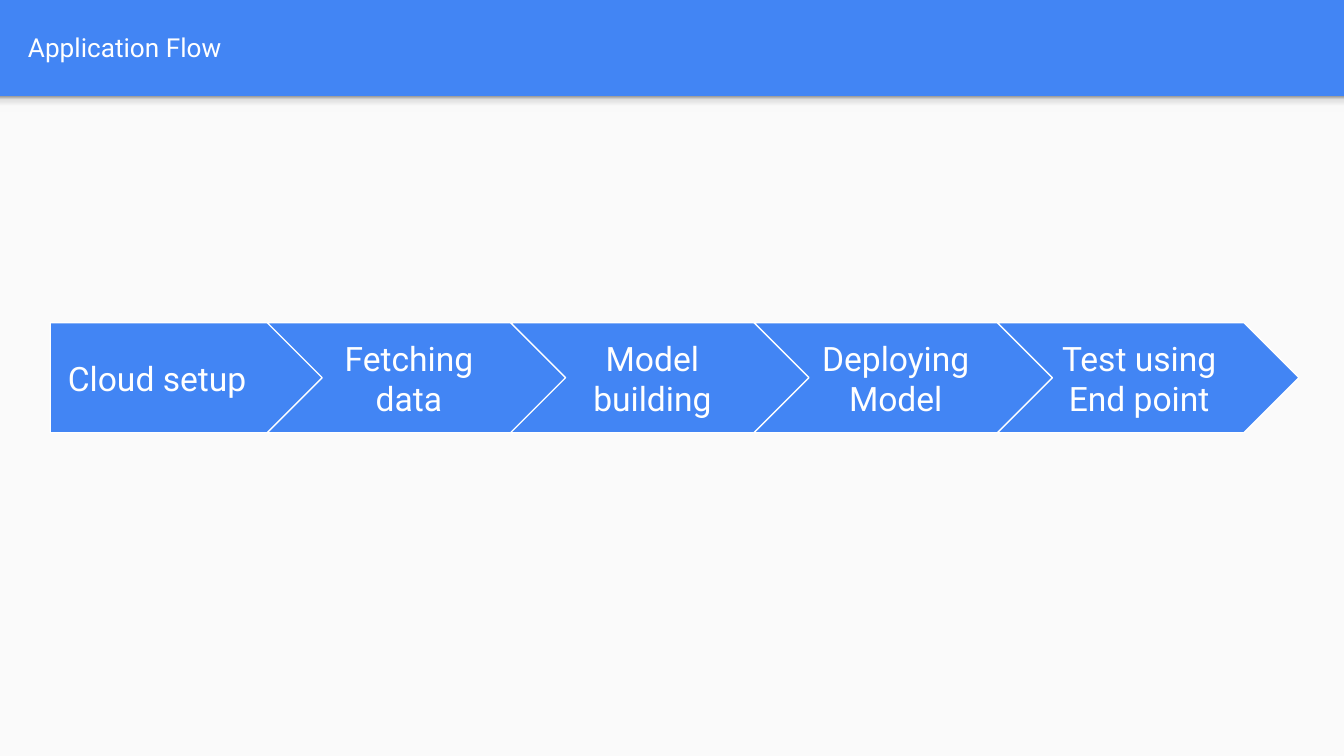
from copy import deepcopy

from pptx import Presentation
from pptx import util as u
from pptx.dml.color import RGBColor
from pptx.enum import shapes, text
from pptx.oxml.ns import qn

COLORS = {
    "blue": "4285F4",
    "white": "FFFFFF",
    "panel": "FAFAFA",
    "shadow_dark": "999999",
    "shadow_mid": "DEDEDE",
    "shadow_light": "F9F9F9",
}
SLIDE_WIDTH, SLIDE_HEIGHT = 25.4, 14.29
HEADER_HEIGHT = 1.82
STEP_TOP, STEP_HEIGHT = 6.1, 2.08
FIRST_CHEVRON_LEFT, CHEVRON_PITCH = 5.05, 4.6
LABEL_TOP, LABEL_HEIGHT = 6.5, 1.3
FIRST_STEP = "Cloud setup"
NEXT_STEPS = ["Fetching data", "Model building", "Deploying Model", "Test using End point"]


def color(name):
    return RGBColor.from_string(COLORS[name])


def apply(target, values):
    for name, value in values.items():
        setattr(target, name, value)


class FlowSlide:
    """Holds the slide and its text style; all lengths are in centimetres."""

    font = {"name": "Roboto"}
    frame = {
        "word_wrap": True,
        "vertical_anchor": text.MSO_ANCHOR.MIDDLE,
        **{f"margin_{side}": u.Cm(0.25) for side in ("left", "top", "right", "bottom")},
    }

    def __init__(self, slide):
        self.slide = slide

    def background(self, fill):
        self.slide.background.fill.solid()
        self.slide.background.fill.fore_color.rgb = color(fill)

    def shape(self, kind, box, fill, line=None):
        shape = self.slide.shapes.add_shape(kind, *map(u.Cm, box))
        shape.shadow.inherit = False
        shape.fill.solid()
        shape.fill.fore_color.rgb = color(fill)
        if line:
            shape.line.color.rgb = color(line)
            shape.line.width = u.Pt(0.75)
        else:
            shape.line.fill.background()
        return shape

    def gradient_band(self, box, stops):
        """Add a rectangle shaded from top to bottom through (position, color) stops."""
        shape = self.shape(shapes.MSO_SHAPE.RECTANGLE, box, stops[0][1])
        shape.fill.gradient()
        shape.fill.gradient_angle = 270
        stop_list = shape.element.spPr.find(qn("a:gradFill")).find(qn("a:gsLst"))
        while len(stop_list) < len(stops):
            stop_list.append(deepcopy(stop_list[-1]))
        for stop, (position, name) in zip(shape.fill.gradient_stops, stops):
            stop.position = position
            stop.color.rgb = color(name)

    def label(self, box, words, size, align=text.PP_ALIGN.CENTER):
        text_frame = self.slide.shapes.add_textbox(*map(u.Cm, box)).text_frame
        apply(text_frame, self.frame)
        paragraph = text_frame.paragraphs[0]
        paragraph.text = words
        paragraph.alignment = align
        apply(paragraph.font, {**self.font, "size": u.Pt(size)})
        paragraph.font.color.rgb = color("white")

    def step(self, kind, left, width, words, label_left, label_width):
        self.shape(kind, (left, STEP_TOP, width, STEP_HEIGHT), "blue", "white")
        self.label((label_left, LABEL_TOP, label_width, LABEL_HEIGHT), words, 18)


def main():
    presentation = Presentation()
    presentation.slide_width = u.Cm(SLIDE_WIDTH)
    presentation.slide_height = u.Cm(SLIDE_HEIGHT)
    flow = FlowSlide(presentation.slides.add_slide(presentation.slide_layouts[6]))

    flow.background("blue")
    flow.shape(
        shapes.MSO_SHAPE.RECTANGLE,
        (0, HEADER_HEIGHT, SLIDE_WIDTH, SLIDE_HEIGHT - HEADER_HEIGHT),
        "panel",
    )
    flow.gradient_band(
        (0, HEADER_HEIGHT, SLIDE_WIDTH, 0.3),
        [(0, "shadow_dark"), (0.2, "shadow_mid"), (0.64, "shadow_light"), (1, "shadow_light")],
    )
    flow.label((0.28, 0.05, 24.5, 1.68), "Application Flow", 14, text.PP_ALIGN.LEFT)

    flow.step(shapes.MSO_SHAPE.PENTAGON, 0.95, 5.2, FIRST_STEP, 0.95, 4.04)
    for index, words in enumerate(NEXT_STEPS):
        left = FIRST_CHEVRON_LEFT + index * CHEVRON_PITCH
        flow.step(shapes.MSO_SHAPE.CHEVRON, left, 5.7, words, left + 0.85, 3.66)

    presentation.save("out.pptx")


if __name__ == "__main__":
    main()
